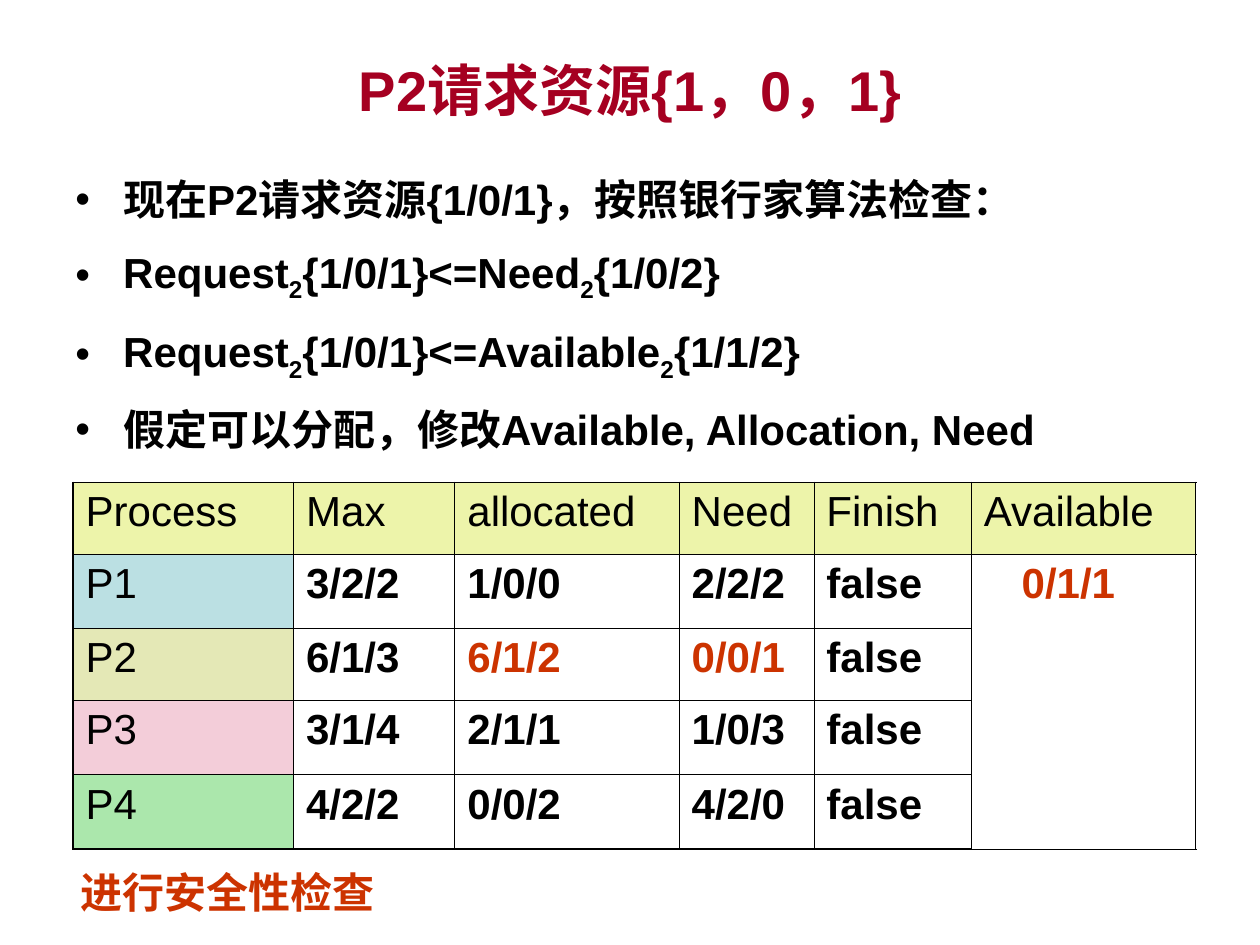
from dataclasses import dataclass

from lxml import etree
from pptx import Presentation
from pptx.dml.color import RGBColor
from pptx.enum.text import MSO_ANCHOR, PP_ALIGN
from pptx.oxml.ns import qn
from pptx.util import Inches, Pt

CENTER, LEFT = PP_ALIGN.CENTER, PP_ALIGN.LEFT
MIDDLE, TOP = MSO_ANCHOR.MIDDLE, MSO_ANCHOR.TOP
BLACK, CRIMSON, RED, HEADER = "000000", "A50021", "CC3300", "EDF4AA"
THIN, THICK = 0.45, 1.08
INDENT = Inches(0.38)


@dataclass
class Box:
    left: float
    top: float
    width: float
    height: float


@dataclass
class Process:
    name: str
    fill: str
    values: tuple
    changed: tuple = ()


TITLE = Box(0.5, 0.08, 9, 1.25)
BODY = Box(0.5, 1.25, 9.5, 4.95)
TABLE = Box(0.58, 3.83, 8.92, 2.92)
NOTE = Box(0.54, 6.83, 2.53, 0.5)
BULLETS = [
    ["现在P2请求资源{1/0/1}，按照银行家算法检查："],
    ["Request", "2", "{1/0/1}<=Need", "2", "{1/0/2}"],
    ["Request", "2", "{1/0/1}<=Available", "2", "{1/1/2}"],
    ["假定可以分配，修改Available, Allocation, Need"],
]
HEADINGS = ["Process", "Max", "allocated", "Need", "Finish", "Available"]
COLUMNS = [1.75, 1.28, 1.78, 1.07, 1.25, 1.78]
ROWS = [0.57, 0.59, 0.57, 0.59, 0.59]
PROCESSES = [
    Process("P1", "BBE0E3", ("3/2/2", "1/0/0", "2/2/2", "false")),
    Process("P2", "E4E8B6", ("6/1/3", "6/1/2", "0/0/1", "false"), (2, 3)),
    Process("P3", "F3CDD9", ("3/1/4", "2/1/1", "1/0/3", "false")),
    Process("P4", "ABE7AC", ("4/2/2", "0/0/2", "4/2/0", "false")),
]


def rgb(value: str) -> RGBColor:
    """Turn a hex string into a colour."""
    return RGBColor.from_string(value)


def add_run(p, text: str, color: str = BLACK, size: int = 24, bold: bool = True):
    """Add a formatted run to a paragraph."""
    r = p.add_run()
    r.text = text
    for name, value in {"name": "Arial", "size": Pt(size), "bold": bold}.items():
        setattr(r.font, name, value)
    r.font.color.rgb = rgb(color)
    return r


def add_box(s, box: Box, wrap: bool = True, anchor=TOP):
    """Add an empty text box and return its text frame."""
    tf = s.shapes.add_textbox(
        Inches(box.left), Inches(box.top), Inches(box.width), Inches(box.height)
    ).text_frame
    tf.word_wrap, tf.vertical_anchor = wrap, anchor
    return tf


def add_bullet(p, parts: list) -> None:
    """Write a bullet whose every second part is a subscript."""
    p.line_spacing, p.space_before = 1.2, Pt(6)
    pPr = p._p.get_or_add_pPr()
    pPr.set("marL", str(INDENT))
    pPr.set("indent", str(-INDENT))
    etree.SubElement(pPr, qn("a:buFont"), typeface="Arial")
    etree.SubElement(pPr, qn("a:buChar"), char="•")
    for i, text in enumerate(parts):
        r = add_run(p, text)
        if i % 2:
            r.font._element.set("baseline", "-25000")


def set_borders(cell, widths: dict) -> None:
    """Draw the four black borders of a cell with widths in points."""
    tcPr = cell._tc.get_or_add_tcPr()
    for side, width in widths.items():
        ln = etree.SubElement(tcPr, qn(f"a:ln{side}"), w=str(Pt(width)))
        fill = etree.SubElement(ln, qn("a:solidFill"))
        etree.SubElement(fill, qn("a:srgbClr"), val=BLACK)


def fill_cell(cell, text: str, fill: str = "", color: str = BLACK,
              bold: bool = True, align=LEFT) -> None:
    """Write a cell's text and set its fill."""
    if fill:
        cell.fill.solid()
        cell.fill.fore_color.rgb = rgb(fill)
    else:
        cell.fill.background()
    p = cell.text_frame.paragraphs[0]
    p.alignment, p.space_before = align, Pt(6)
    add_run(p, text, color, bold=bold)


def add_process_table(s) -> None:
    """Add the table of processes and their resources."""
    last_row, last_col = len(ROWS) - 1, len(COLUMNS) - 1
    table = s.shapes.add_table(
        len(ROWS), len(COLUMNS), Inches(TABLE.left), Inches(TABLE.top),
        Inches(TABLE.width), Inches(TABLE.height)
    ).table
    table.first_row = table.horz_banding = False
    for column, width in zip(table.columns, COLUMNS):
        column.width = Inches(width)
    for row, height in zip(table.rows, ROWS):
        row.height = Inches(height)
    for i in range(len(ROWS)):
        for j in range(len(COLUMNS)):
            set_borders(table.cell(i, j), {
                "L": THICK if j == 0 else THIN,
                "R": THICK if j == last_col else THIN,
                "T": THICK if i == 0 else THIN,
                "B": THICK if i == last_row else THIN,
            })
    for j, heading in enumerate(HEADINGS):
        fill_cell(table.cell(0, j), heading, HEADER, bold=False)
    for i, process in enumerate(PROCESSES, 1):
        fill_cell(table.cell(i, 0), process.name, process.fill, bold=False)
        for j, value in enumerate(process.values, 1):
            color = RED if j in process.changed else BLACK
            fill_cell(table.cell(i, j), value, color=color)
    available = table.cell(1, last_col)
    available.merge(table.cell(last_row, last_col))
    available.margin_right = Inches(0.34)
    fill_cell(available, "0/1/1", color=RED, align=CENTER)


def main() -> None:
    """Build the slide and save it."""
    prs = Presentation()
    prs.slide_width, prs.slide_height = Inches(10), Inches(7.5)
    s = prs.slides.add_slide(prs.slide_layouts[6])
    p = add_box(s, TITLE, anchor=MIDDLE).paragraphs[0]
    p.alignment = CENTER
    add_run(p, "P2请求资源{1，0，1}", CRIMSON, 32)
    tf = add_box(s, BODY)
    for i, parts in enumerate(BULLETS):
        add_bullet(tf.add_paragraph() if i else tf.paragraphs[0], parts)
    add_process_table(s)
    add_run(add_box(s, NOTE, wrap=False).paragraphs[0], "进行安全性检查", RED)
    prs.save("out.pptx")


if __name__ == "__main__":
    main()
